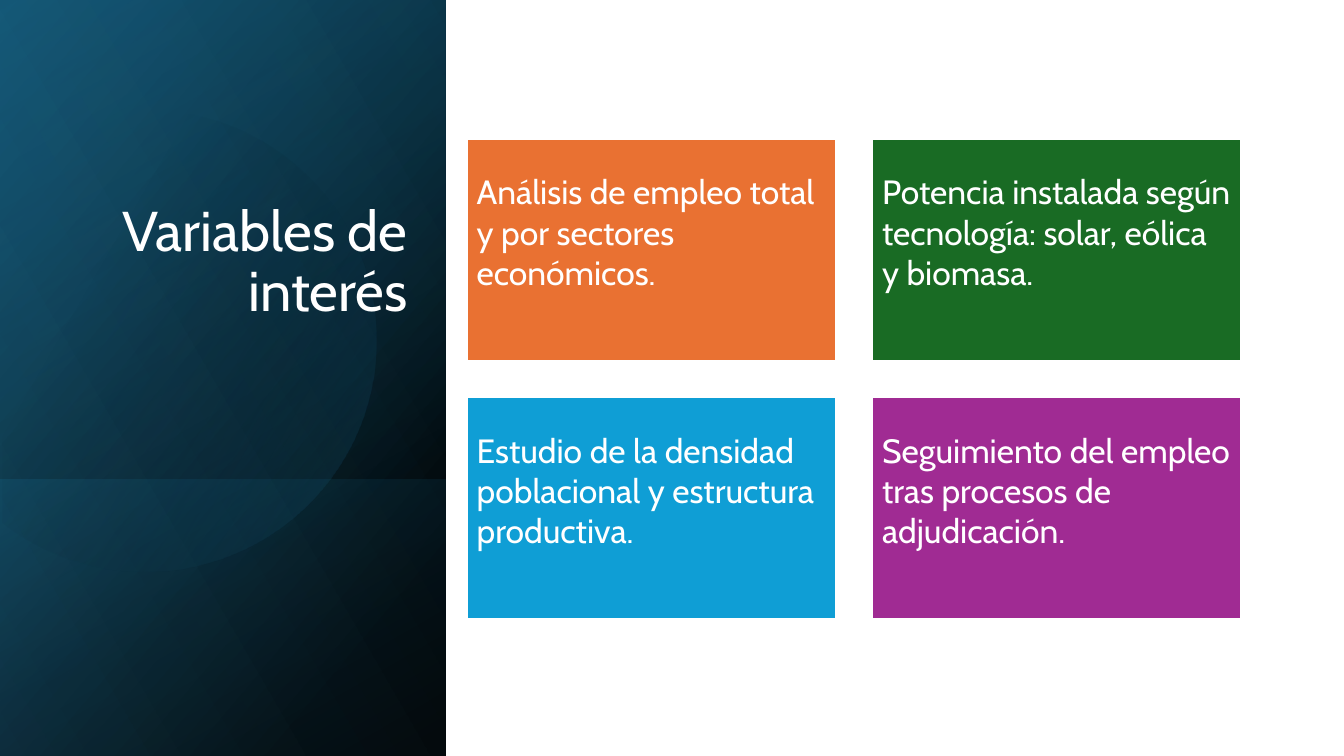
from math import cos, radians, sin

from lxml import etree
from pptx import Presentation
from pptx.dml.color import RGBColor
from pptx.enum.shapes import MSO_SHAPE
from pptx.enum.text import MSO_ANCHOR, PP_ALIGN
from pptx.oxml.ns import qn
from pptx.util import Inches, Pt

COLORS = {
    "white": "FFFFFF", "black": "000000", "navy": "104862", "teal": "156082",
    "sky": "46B1E1", "orange": "E97132", "green": "196B24", "blue": "0F9ED5",
    "purple": "A02B93",
}


def paint_gradient(shape, angle, stops):
    shape.shadow.inherit = False
    shape.line.fill.background()
    shape.fill.background()
    no_fill = shape._element.spPr.find(qn("a:noFill"))
    gradient = etree.Element(qn("a:gradFill"), rotWithShape="1")
    stop_list = etree.SubElement(gradient, qn("a:gsLst"))
    for position, color, opacity in stops:
        stop = etree.SubElement(stop_list, qn("a:gs"), pos=str(position * 1000))
        tint = etree.SubElement(stop, qn("a:srgbClr"), val=COLORS[color])
        etree.SubElement(tint, qn("a:alpha"), val=str(opacity * 1000))
    etree.SubElement(gradient, qn("a:lin"), ang=str(angle * 60000), scaled="0")
    no_fill.getparent().replace(no_fill, gradient)


def write_text(shape, words, size, align, anchor, spacing):
    frame = shape.text_frame
    frame.word_wrap = True
    frame.vertical_anchor = anchor
    frame.text = words
    paragraph = frame.paragraphs[0]
    paragraph.alignment = align
    paragraph.line_spacing = spacing
    font = paragraph.runs[0].font
    font.name = "Cabin"
    font.size = Pt(size)
    font.color.rgb = RGBColor.from_string(COLORS["white"])
    return frame


prs = Presentation()
prs.slide_width = Inches(13.33)
prs.slide_height = Inches(7.5)
slide = prs.slides.add_slide(prs.slide_layouts[6])
shapes = slide.shapes

panel_width = 4.42
panel_layers = [
    (0, 40, [(0, "navy", 100), (85, "black", 100)]),
    (0, 60, [(0, "teal", 46), (70, "teal", 0)]),
    (4.76, 60, [(0, "teal", 29), (100, "black", 30)]),
]
for top, angle, stops in panel_layers:
    layer = shapes.add_shape(MSO_SHAPE.RECTANGLE, Inches(0), Inches(top),
                             Inches(panel_width), Inches(7.5 - top))
    paint_gradient(layer, angle, stops)

center_x, center_y, radius = 1.44, 3.38, 2.29
arc = [(center_x + radius * cos(radians(a)), center_y + radius * sin(radians(a)))
       for a in range(-128, 129, 2)]
outline = [(Inches(x), Inches(y)) for x, y in arc if x >= 0]
builder = shapes.build_freeform(*outline[0])
builder.add_line_segments(outline[1:], close=True)
disc = builder.convert_to_shape()
paint_gradient(disc, 30, [(29, "black", 0), (100, "teal", 30)])

sheen = shapes.add_shape(MSO_SHAPE.RECTANGLE, Inches(0), Inches(0),
                         Inches(panel_width), Inches(7.5))
paint_gradient(sheen, 150, [(0, "sky", 0), (99, "sky", 11)])

title = shapes.add_textbox(Inches(0.64), Inches(0.81), Inches(3.5), Inches(2.45))
write_text(title, "Variables de interés", 40, PP_ALIGN.RIGHT, MSO_ANCHOR.BOTTOM, 0.9)

topics = [
    ("orange", "Análisis de empleo total y por sectores económicos."),
    ("green", "Potencia instalada según tecnología: solar, eólica y biomasa."),
    ("blue", "Estudio de la densidad poblacional y estructura productiva."),
    ("purple", "Seguimiento del empleo tras procesos de adjudicación."),
]
for index, (color, words) in enumerate(topics):
    row, column = divmod(index, 2)
    card = shapes.add_shape(MSO_SHAPE.RECTANGLE,
                            Inches(4.63 + 4.02 * column), Inches(1.38 + 2.56 * row),
                            Inches(3.66), Inches(2.2))
    card.shadow.inherit = False
    card.fill.solid()
    card.fill.fore_color.rgb = RGBColor.from_string(COLORS[color])
    card.line.color.rgb = RGBColor.from_string(COLORS["white"])
    card.line.width = Pt(1.5)
    frame = write_text(card, words, 24, PP_ALIGN.LEFT, MSO_ANCHOR.TOP, 1.0)
    frame.margin_left = frame.margin_right = Inches(0.1)
    frame.margin_top = Inches(0.32)

prs.save("out.pptx")
